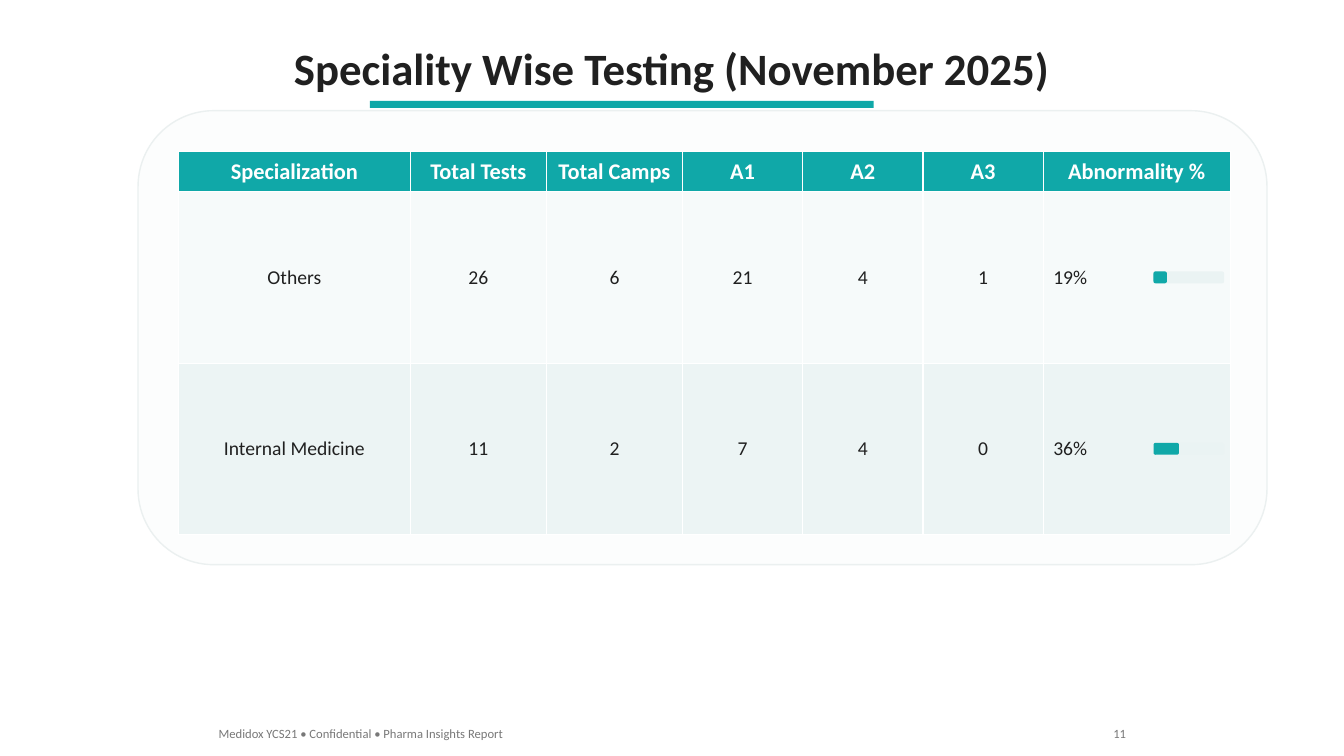
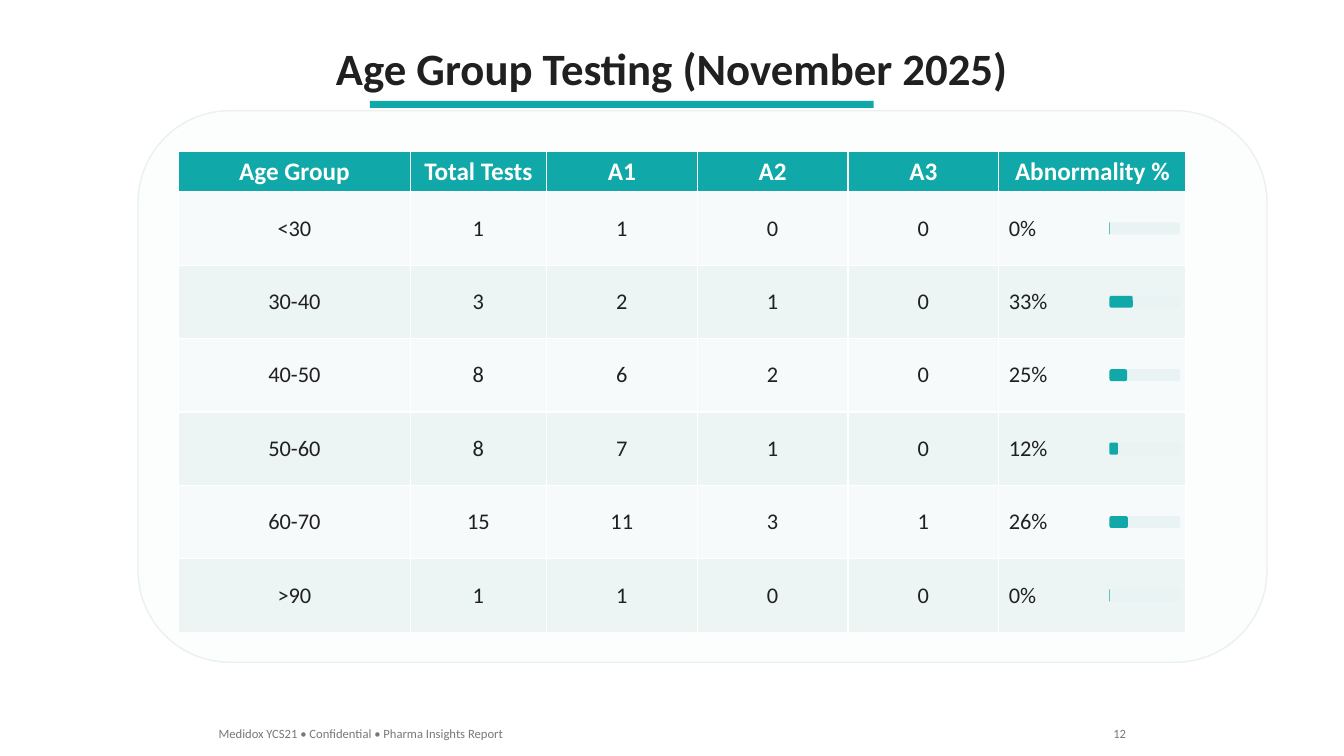
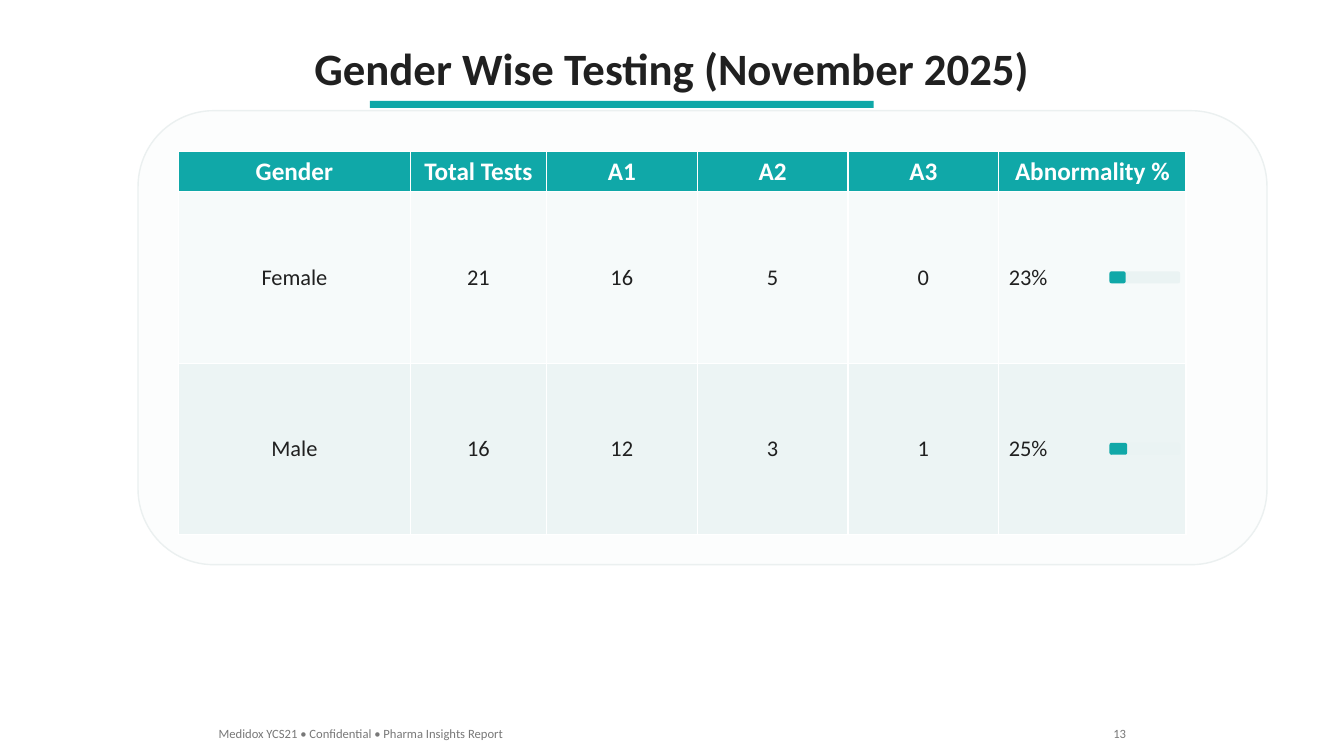
from dataclasses import dataclass

from pptx import Presentation
from pptx.dml.color import RGBColor
from pptx.enum.shapes import MSO_SHAPE
from pptx.enum.text import MSO_ANCHOR, MSO_AUTO_SIZE, PP_ALIGN
from pptx.shapes.autoshape import Shape
from pptx.slide import Slide
from pptx.text.text import TextFrame
from pptx.util import Cm, Pt

FONT = "Calibri"
TEAL = "10A8A8"
WHITE = "FFFFFF"
INK = "202020"
GREY = "787878"
CARD_FILL = "FCFDFD"
CARD_EDGE = "EBF0F0"
TRACK = "EAF3F3"
BANDS = ("F6FAFA", "ECF4F4")

SLIDE_WIDTH, SLIDE_HEIGHT = 33.87, 19.05
CARD_LEFT, CARD_TOP, CARD_WIDTH = 3.48, 2.79, 28.45
TABLE_LEFT, TABLE_TOP = 4.5, 3.81
CARD_EXTRA_HEIGHT = 1.78
HEADER_HEIGHT = 1.02
BAR_WIDTH, BAR_HEIGHT, BAR_GAP = 1.78, 0.3, 0.15
FOOTER_TOP, FOOTER_HEIGHT = 18.16, 0.63
FOOTER = "Medidox YCS21 • Confidential • Pharma Insights Report"


@dataclass(frozen=True)
class Report:
    page: int
    title: str
    title_width: float
    header: tuple[str, ...]
    rows: tuple[tuple[str, ...], ...]
    column_widths: tuple[float, ...]
    row_height: float
    header_size: int
    body_size: int


AGE_GENDER_WIDTHS = (5.84, 3.43, 3.8, 3.8, 3.8, 4.72)

REPORTS = (
    Report(
        11, "Speciality Wise Testing (November 2025)", 19.74,
        ("Specialization", "Total Tests", "Total Camps", "A1", "A2", "A3", "Abnormality %"),
        (
            ("Others", "26", "6", "21", "4", "1", "19%"),
            ("Internal Medicine", "11", "2", "7", "4", "0", "36%"),
        ),
        (5.84, 3.43, 3.43, 3.03, 3.03, 3.03, 4.71), 4.32, 16, 14,
    ),
    Report(
        12, "Age Group Testing (November 2025)", 17.6,
        ("Age Group", "Total Tests", "A1", "A2", "A3", "Abnormality %"),
        (
            ("<30", "1", "1", "0", "0", "0%"),
            ("30-40", "3", "2", "1", "0", "33%"),
            ("40-50", "8", "6", "2", "0", "25%"),
            ("50-60", "8", "7", "1", "0", "12%"),
            ("60-70", "15", "11", "3", "1", "26%"),
            (">90", "1", "1", "0", "0", "0%"),
        ),
        AGE_GENDER_WIDTHS, 1.85, 18, 16,
    ),
    Report(
        13, "Gender Wise Testing (November 2025)", 18.69,
        ("Gender", "Total Tests", "A1", "A2", "A3", "Abnormality %"),
        (
            ("Female", "21", "16", "5", "0", "23%"),
            ("Male", "16", "12", "3", "1", "25%"),
        ),
        AGE_GENDER_WIDTHS, 4.32, 18, 16,
    ),
)


def rgb(value: str) -> RGBColor:
    return RGBColor.from_string(value)


def write(frame: TextFrame, text: str, size: int, color: str,
          align: PP_ALIGN, bold: bool = False) -> None:
    paragraph = frame.paragraphs[0]
    paragraph.alignment = align
    run = paragraph.add_run()
    run.text = text
    run.font.name = FONT
    run.font.size = Pt(size)
    run.font.bold = bold
    run.font.color.rgb = rgb(color)


def fit_to_text(frame: TextFrame) -> None:
    frame.word_wrap = False
    frame.auto_size = MSO_AUTO_SIZE.SHAPE_TO_FIT_TEXT
    frame.vertical_anchor = MSO_ANCHOR.TOP


def add_block(slide: Slide, preset: MSO_SHAPE, left: float, top: float,
              width: float, height: float, fill: str, edge: str | None = None) -> Shape:
    block = slide.shapes.add_shape(preset, Cm(left), Cm(top), Cm(width), Cm(height))
    block.shadow.inherit = False
    block.fill.solid()
    block.fill.fore_color.rgb = rgb(fill)
    if edge:
        block.line.color.rgb = rgb(edge)
        block.line.width = Pt(1)
    else:
        block.line.fill.background()
    return block


def add_title(slide: Slide, report: Report) -> None:
    title = slide.shapes.title
    title.left = Cm((SLIDE_WIDTH - report.title_width) / 2)
    title.top, title.width, title.height = Cm(0.89), Cm(report.title_width), Cm(1.63)
    fit_to_text(title.text_frame)
    write(title.text_frame, report.title, 32, INK, PP_ALIGN.CENTER, True)
    add_block(slide, MSO_SHAPE.RECTANGLE, 9.32, 2.54, 12.7, 0.18, TEAL)


def add_results(slide: Slide, report: Report) -> None:
    width = sum(report.column_widths)
    height = HEADER_HEIGHT + len(report.rows) * report.row_height
    add_block(slide, MSO_SHAPE.ROUNDED_RECTANGLE, CARD_LEFT, CARD_TOP,
              CARD_WIDTH, height + CARD_EXTRA_HEIGHT, CARD_FILL, CARD_EDGE)
    results = slide.shapes.add_table(
        len(report.rows) + 1, len(report.header),
        Cm(TABLE_LEFT), Cm(TABLE_TOP), Cm(width), Cm(height)).table
    for column, column_width in zip(results.columns, report.column_widths):
        column.width = Cm(column_width)
    last_column = len(report.header) - 1
    for row_index, values in enumerate((report.header, *report.rows)):
        is_header = row_index == 0
        results.rows[row_index].height = Cm(HEADER_HEIGHT if is_header else report.row_height)
        for column_index, value in enumerate(values):
            cell = results.cell(row_index, column_index)
            cell.vertical_anchor = MSO_ANCHOR.MIDDLE
            cell.fill.solid()
            cell.fill.fore_color.rgb = rgb(TEAL if is_header else BANDS[(row_index - 1) % 2])
            is_percent = column_index == last_column and not is_header
            write(cell.text_frame, value,
                  report.header_size if is_header else report.body_size,
                  WHITE if is_header else INK,
                  PP_ALIGN.LEFT if is_percent else PP_ALIGN.CENTER, is_header)


def add_percent_bars(slide: Slide, report: Report) -> None:
    left = TABLE_LEFT + sum(report.column_widths) - BAR_GAP - BAR_WIDTH
    for index, values in enumerate(report.rows):
        middle = TABLE_TOP + HEADER_HEIGHT + (index + 0.5) * report.row_height
        share = int(values[-1].rstrip("%")) / 100
        for width, fill in ((BAR_WIDTH, TRACK), (max(BAR_WIDTH * share, 0.01), TEAL)):
            add_block(slide, MSO_SHAPE.ROUNDED_RECTANGLE, left,
                      middle - BAR_HEIGHT / 2, width, BAR_HEIGHT, fill)


def add_footer_text(slide: Slide, text: str, left: float, width: float,
                    align: PP_ALIGN) -> None:
    footer = slide.shapes.add_textbox(Cm(left), Cm(FOOTER_TOP), Cm(width), Cm(FOOTER_HEIGHT))
    fit_to_text(footer.text_frame)
    write(footer.text_frame, text, 9, GREY, align)


def main() -> None:
    deck = Presentation()
    deck.slide_width, deck.slide_height = Cm(SLIDE_WIDTH), Cm(SLIDE_HEIGHT)
    title_only = deck.slide_layouts[5]
    for report in REPORTS:
        slide = deck.slides.add_slide(title_only)
        add_title(slide, report)
        add_results(slide, report)
        add_percent_bars(slide, report)
        add_footer_text(slide, FOOTER, 5.26, 7.75, PP_ALIGN.LEFT)
        add_footer_text(slide, str(report.page), 27.79, 0.84, PP_ALIGN.RIGHT)
    deck.save("out.pptx")


if __name__ == "__main__":
    main()
